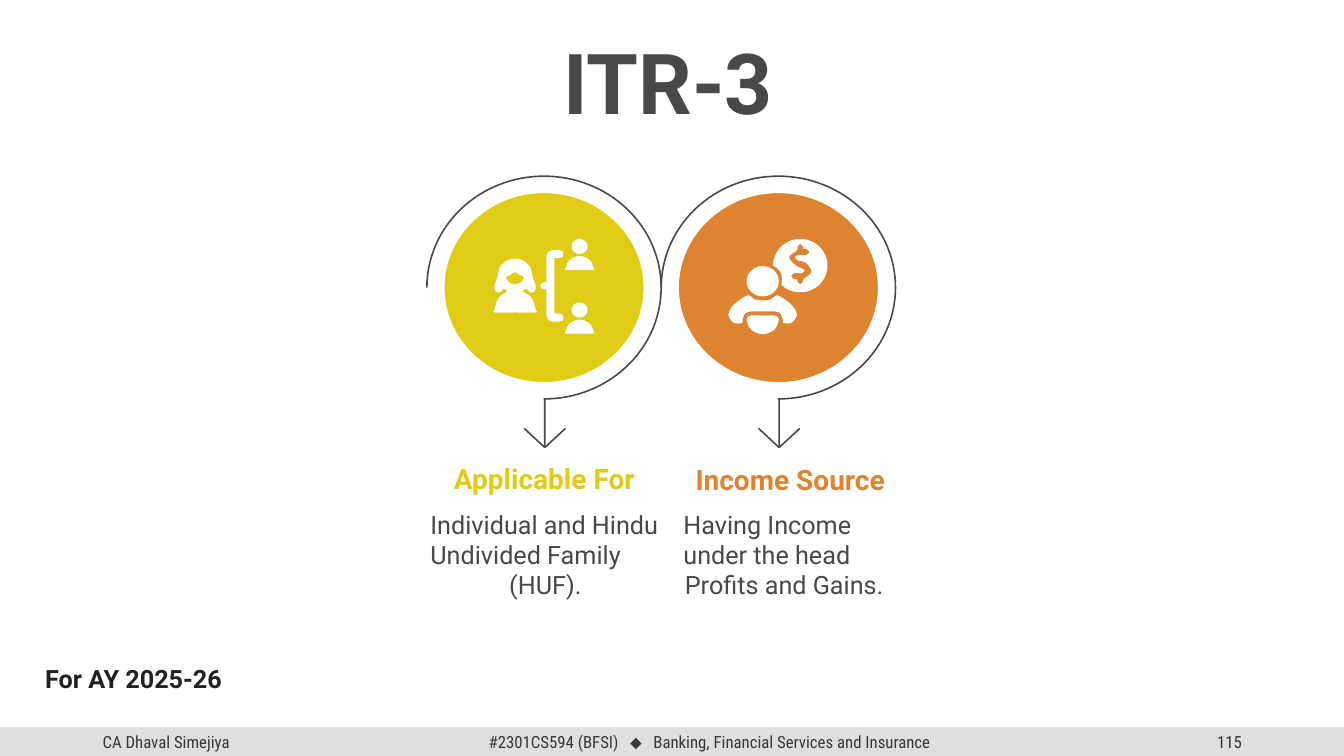
from math import cos, radians, sin, tan

from lxml.etree import SubElement
from pptx import Presentation
from pptx.dml.color import RGBColor as RGB
from pptx.enum.shapes import MSO_CONNECTOR as CONN, MSO_SHAPE as SHAPE
from pptx.enum.text import MSO_ANCHOR as ANCHOR, PP_ALIGN as ALIGN
from pptx.oxml.ns import qn
from pptx.util import Inches, Pt

WIDTH, HEIGHT = Inches(40) // 3, Inches(7.5)
COLS, ROWS = 400 / 3, 75
L, C, R = ALIGN.LEFT, ALIGN.CENTER, ALIGN.RIGHT


class Theme:
    """Colours and type styles of the slide."""
    ink, white, bar, rule = "484848", "FFFFFF", "DFDFDF", "BFBFBF"
    yellow, orange = "E0CB15", "DE8431"
    title = dict(name="Roboto", size=Pt(60), bold=True, color=ink)
    heading = dict(name="Roboto", size=Pt(20), bold=True)
    body = dict(name="Roboto", size=Pt(18), color=ink)
    year = dict(name="Roboto", size=Pt(18), bold=True, color="212121")
    footer = dict(name="Roboto Condensed", size=Pt(12), color="373737")
    thin, rule_alpha = Pt(1.12), 30000


def straight(*points):
    """Return straight edges as curve points."""
    out = [points[0]]
    for p, q in zip(points, points[1:]):
        out += [p, q, q]
    return out


def smooth(points):
    """Return a rounded closed outline as curve points."""
    n, out = len(points), [points[0]]
    for i in range(n):
        a, b, c, d = (points[(i + k) % n] for k in (-1, 0, 1, 2))
        out += [tuple(b[k] + (c[k] - a[k]) / 6 for k in (0, 1)),
                tuple(c[k] - (d[k] - b[k]) / 6 for k in (0, 1)), c]
    return out


def arc(x, y, rx, ry, start=0, sweep=360, parts=4):
    """Return part of an ellipse as curve points."""
    step = radians(sweep / parts)
    h = 4 / 3 * tan(step / 4)
    out = [(x + rx * cos(radians(start)), y + ry * sin(radians(start)))]
    for i in range(parts):
        a = radians(start) + i * step
        b = a + step
        out += [(x + rx * (cos(a) - h * sin(a)), y + ry * (sin(a) + h * cos(a))),
                (x + rx * (cos(b) + h * sin(b)), y + ry * (sin(b) - h * cos(b))),
                (x + rx * cos(b), y + ry * sin(b))]
    return out


def mirrored(axis, half, dy=0):
    """Return a rounded outline that is symmetric about an axis."""
    right = [(axis + x, y + dy) for x, y in half]
    left = [(axis - x, y + dy) for x, y in reversed(half) if x]
    return smooth(right + left)


class Deck:
    """Draws styled elements on a grid of columns and rows."""

    def __init__(self, theme):
        """Open a presentation with one blank slide."""
        self.theme = theme
        self.prs = Presentation()
        self.prs.slide_width, self.prs.slide_height = WIDTH, HEIGHT
        self.s = self.prs.slides.add_slide(self.prs.slide_layouts[6])

    def pos(self, col, row):
        """Turn a grid place into slide lengths."""
        return round(col * WIDTH / COLS), round(row * HEIGHT / ROWS)

    def paint(self, sp, fill=None, line=None):
        """Set fill and line of a shape."""
        sp.shadow.inherit = False
        if fill:
            sp.fill.solid()
            sp.fill.fore_color.rgb = RGB.from_string(fill)
        else:
            sp.fill.background()
        if line:
            sp.line.color.rgb = RGB.from_string(line)
            sp.line.width = self.theme.thin
        else:
            sp.line.fill.background()

    def bar(self, row, h):
        """Add a band across the whole slide."""
        sp = self.s.shapes.add_shape(SHAPE.ROUNDED_RECTANGLE,
                                     *self.pos(0, row), *self.pos(COLS, h))
        sp.adjustments[0] = 0
        self.paint(sp, self.theme.bar)

    def free(self, contours, closed=True, **style):
        """Add one curved freeform from contours of curve points."""
        first, *rest = [[self.pos(*p) for p in c] for c in contours]
        fb = self.s.shapes.build_freeform(*first[0])
        fb.add_line_segments(first[1:], close=closed)
        for contour in rest:
            fb.move_to(*contour[0])
            fb.add_line_segments(contour[1:], close=closed)
        sp = fb.convert_to_shape()
        edges = list(sp._element.iter(qn("a:lnTo")))
        for trio in zip(edges[::3], edges[1::3], edges[2::3]):
            curve = SubElement(trio[0].getparent(), qn("a:cubicBezTo"))
            trio[0].addprevious(curve)
            for edge in trio:
                curve.append(edge[0])
                edge.getparent().remove(edge)
        self.paint(sp, **style)

    def rule(self, row):
        """Add a faint line across the whole slide."""
        ln = self.s.shapes.add_connector(
            CONN.STRAIGHT, *self.pos(0, row), *self.pos(COLS, row))
        ln.line.color.rgb = RGB.from_string(self.theme.rule)
        ln.line.width = Pt(1)
        for clr in ln._element.spPr.iter(qn("a:srgbClr")):
            SubElement(clr, qn("a:alpha")).set("val", str(self.theme.rule_alpha))
        SubElement(ln._element.spPr, qn("a:effectLst"))

    def text(self, box, paras, style, pad=0, **frame):
        """Add a text box from (alignment, runs) pairs."""
        tf = self.s.shapes.add_textbox(
            *self.pos(*box[:2]), *self.pos(*box[2:])).text_frame
        fmt = dict(margin_left=Inches(pad), margin_right=Inches(pad),
                   margin_top=Inches(pad / 2), margin_bottom=Inches(pad / 2),
                   word_wrap=False)
        for key, value in {**fmt, **frame}.items():
            setattr(tf, key, value)
        for i, (align, runs) in enumerate(paras):
            p = tf.paragraphs[0] if i == 0 else tf.add_paragraph()
            p.alignment = align
            for content, change in runs:
                self.run(p, content, {**style, **change})

    def run(self, p, content, style):
        """Add one styled run to a paragraph."""
        r = p.add_run()
        r.text = content
        for key, value in style.items():
            if key == "color":
                r.font.color.rgb = RGB.from_string(value)
            elif key == "spc":
                r._r.get_or_add_rPr().set("spc", str(value))
            else:
                setattr(r.font, key, value)

    def badge(self, x, color):
        """Add a coloured disc with its ring and arrow."""
        y, tip = 28.53, (x + 0.08, 44.4)
        for style in (dict(fill=color), dict(line=self.theme.white)):
            self.free([arc(x, y, 9.95, 9.45)], **style)
        ring = arc(x, y, 11.62, 11.05, 180, 270, 6)
        heads = [straight((tip[0] + dx, tip[1] - 1.9), tip) for dx in (-2.05, 2.05)]
        stem = straight((tip[0], 39.58), tip)
        self.free([ring + [ring[-1], stem[0], stem[0]] + stem[1:]] + heads,
                  closed=False, line=self.theme.ink)

    def family_icon(self):
        """Add a woman bracketed with two people."""
        woman = mirrored(51.1, [
            (0, 25.65), (0.9, 25.9), (1.55, 26.6), (1.75, 27.5), (2.05, 28.4),
            (1.95, 28.9), (1.5, 29), (1.15, 28.65), (0.85, 28.8), (0.8, 28.95),
            (1.6, 29.5), (2.05, 30.7), (2, 31), (0, 31)])
        face = mirrored(51.1, [(0, 27), (0.5, 27.3), (0.9, 27.5),
                               (0.6, 28), (0, 28.2)])
        upper = [(53.6, 28.4), (53.7, 28.1), (54, 28), (54.2, 28), (54.2, 25.4),
                 (54.4, 25), (54.8, 24.8), (55.4, 24.8), (55.8, 24.9),
                 (55.9, 25.2), (55.8, 25.5), (55.4, 25.6), (55, 25.6)]
        lower = [(x, 56.7 - y) for x, y in reversed(upper)]
        people = [part for dy in (0, 6.3) for part in (
            arc(57.5, 24.45 + dy, 0.8, 0.75),
            mirrored(57.5, [(0, 25.4), (1, 25.8), (1.43, 26.7),
                            (1.35, 26.8), (0, 26.8)], dy))]
        self.free([woman, face, straight(*upper, *lower)] + people,
                  fill=self.theme.white)

    def income_icon(self):
        """Add a person with a dollar coin."""
        coin = arc(79.4, 26.35, 2.7, 2.65, 180, 314)
        coin += [(77.75, 27.3), (77.4, 26.65), coin[0]]
        dollar = smooth([
            (79.7, 27.7), (80.5, 27), (80, 26.1), (79.1, 25.8), (78.9, 25.5),
            (79.2, 25.3), (80, 25.3), (80.3, 25), (80, 24.7), (79.7, 24.7),
            (79.7, 24.5), (79.4, 24.2), (79.1, 24.5), (79.1, 24.8),
            (78.3, 25.5), (78.9, 26.3), (79.7, 26.7), (79.8, 26.9),
            (79.6, 27.1), (78.8, 27.1), (78.5, 27.4), (78.8, 27.7),
            (79.1, 27.7), (79.1, 27.9), (79.4, 28.2), (79.7, 27.9)])
        arms = mirrored(75.67, [
            (0, 29.8), (0.8, 29.7), (1.4, 29.3), (2.2, 29.7), (3, 30.4),
            (3.4, 31.2), (2.9, 32), (2.05, 32.05), (2, 31.7), (1.75, 31.1),
            (1.2, 30.9), (0, 30.9)])
        lap = mirrored(75.67, [(0, 31.3), (1.2, 31.3), (1.6, 31.7),
                               (1.15, 32.7), (0, 33.15)])
        self.free([coin, dollar, arc(75.67, 27.9, 1.6, 1.5), arms, lap],
                  fill=self.theme.white)


def main():
    """Build the slide and save it."""
    th = Theme()
    d = Deck(th)

    d.rule(72.2)
    d.bar(72.2, 2.8)
    gap = (" ", dict(spc=540))
    course = [("#2301CS594 (BFSI)", {}), gap, ("⬥", dict(name="Arial")), gap,
              ("Banking, Financial Services and Insurance", {})]
    for col, w, align, runs in ((94.2, 30, R, [("115", {})]),
                                (44.2, 52.4, C, course),
                                (9.2, 30, L, [("CA Dhaval Simejiya", {})])):
        d.text((col, 72.2, w, 2.8), [(align, runs)], th.footer, pad=0.1,
               word_wrap=True, vertical_anchor=ANCHOR.MIDDLE)

    d.text((55.7, 3, 21.2, 10.1), [(C, [("ITR-3", {})])], th.title)
    d.text((3.5, 65.3, 21.7, 4), [(L, [("For AY 2025-26", {})])], th.year,
           pad=0.1, word_wrap=True)

    columns = (
        (53.97, th.yellow, d.family_icon, "Applicable For", (44.9, 45.8, 18.2, 3.4),
         (42.7, 50.5, 22.8, 9.1),
         ("Individual and Hindu", "Undivided Family", "(HUF).")),
        (77.22, th.orange, d.income_icon, "Income Source", (68.9, 45.9, 19, 3.4),
         (67.8, 50.5, 20, 9.1),
         ("Having Income", "under the head", "Profits and Gains.")))
    for x, color, icon, heading, heading_box, body_box, lines in columns:
        d.badge(x, color)
        icon()
        d.text(heading_box, [(C, [(heading, dict(color=color))])], th.heading)
        d.text(body_box, [(align, [(line, {})])
                          for align, line in zip((L, L, C), lines)], th.body,
               word_wrap=True)

    d.prs.save("out.pptx")


if __name__ == "__main__":
    main()
